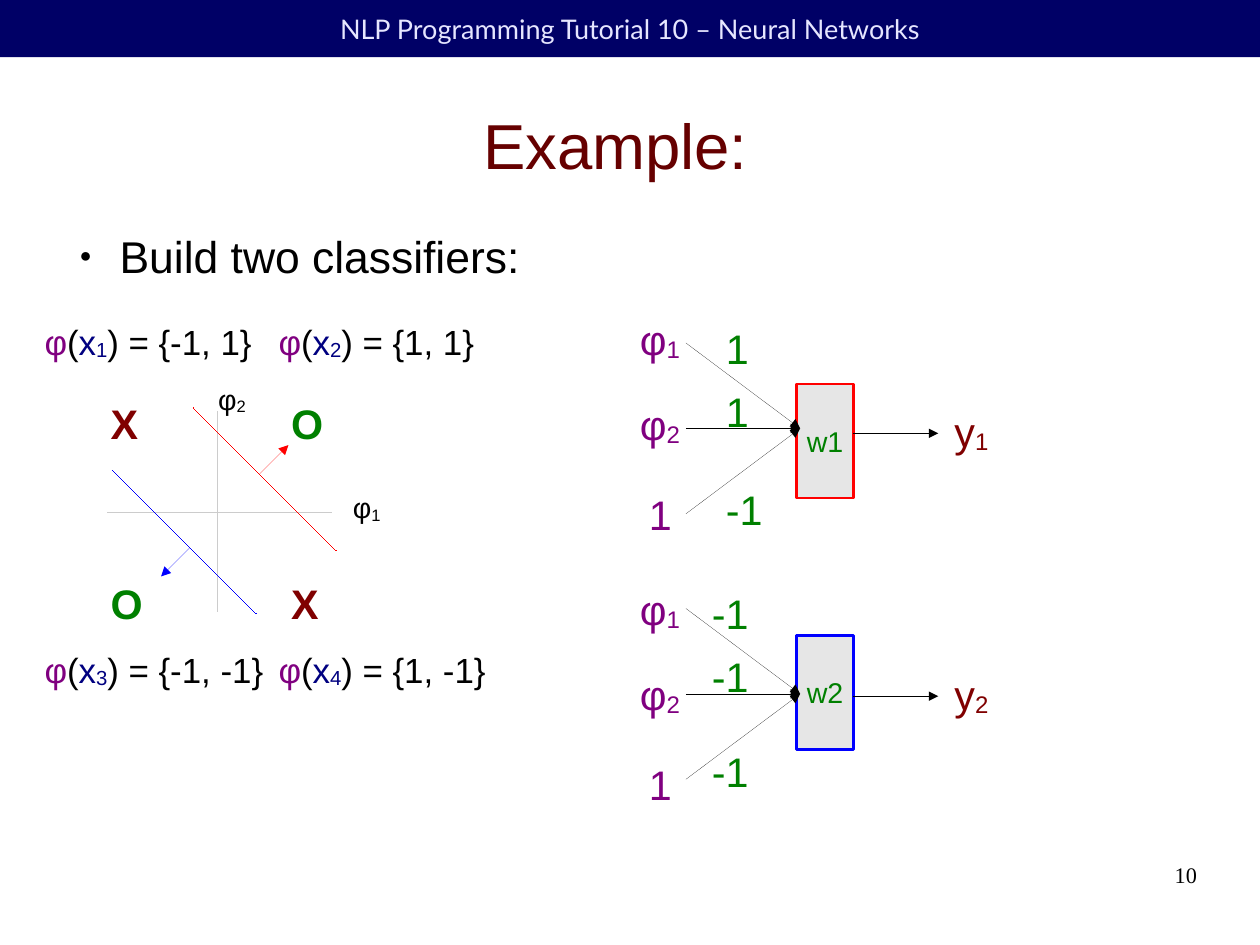
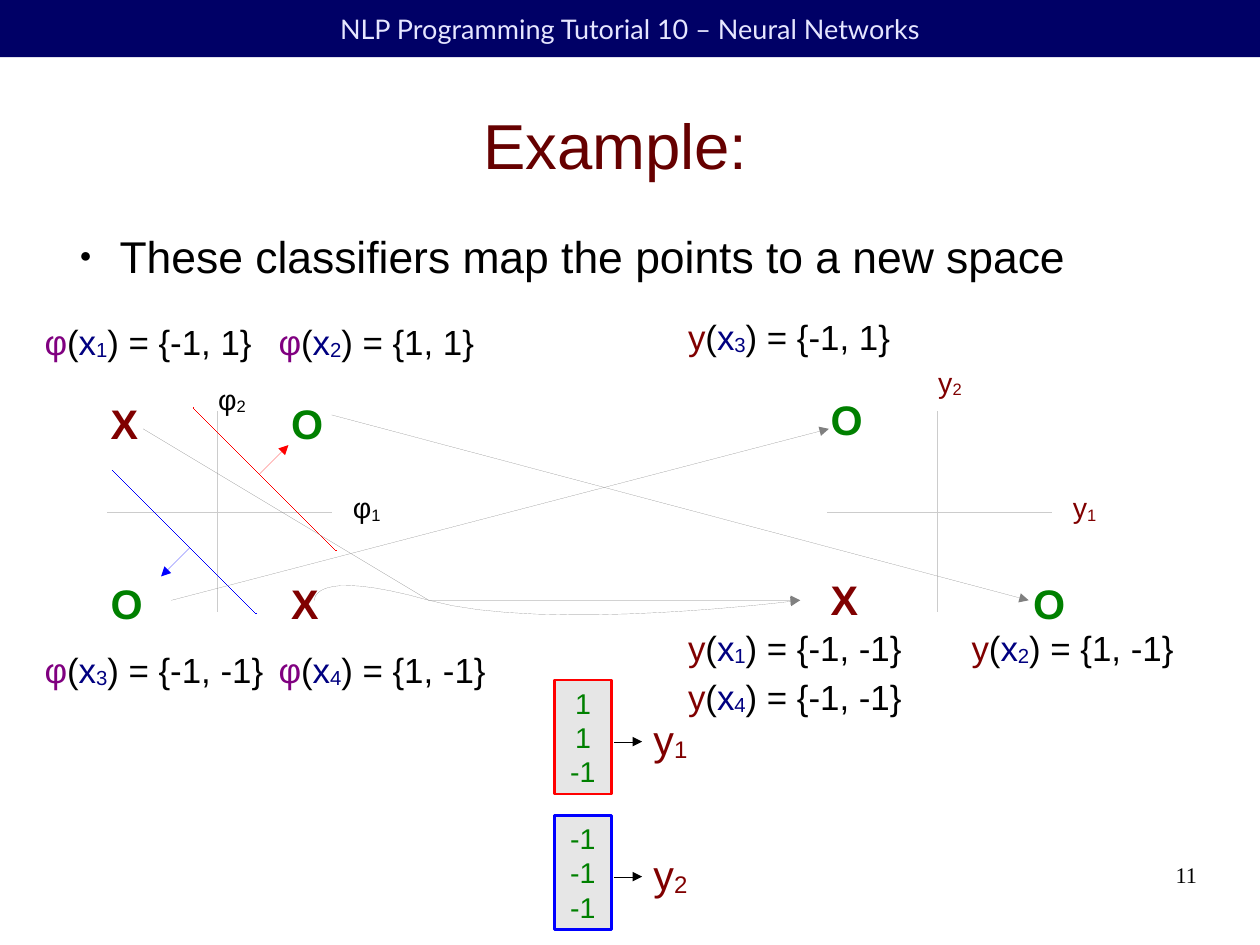
import pptx
import pptx.dml.color
import pptx.enum.shapes
import pptx.enum.text
import pptx.oxml.ns
import pptx.util
from lxml import etree

Cm = pptx.util.Cm
Pt = pptx.util.Pt
RGBColor = pptx.dml.color.RGBColor
ALIGN = pptx.enum.text.PP_ALIGN
ANCHOR = pptx.enum.text.MSO_ANCHOR
RECTANGLE = pptx.enum.shapes.MSO_SHAPE.RECTANGLE
STRAIGHT = pptx.enum.shapes.MSO_CONNECTOR.STRAIGHT
qn = pptx.oxml.ns.qn

BAND = RGBColor(0x00, 0x00, 0x66)
BAND_TEXT = RGBColor(0xE6, 0xE6, 0xFF)
TITLE = RGBColor(0x66, 0x00, 0x00)
BLACK = RGBColor(0x00, 0x00, 0x00)
MAROON = RGBColor(0x80, 0x00, 0x00)
GREEN = RGBColor(0x00, 0x80, 0x00)
PURPLE = RGBColor(0x80, 0x00, 0x80)
NAVY = RGBColor(0x00, 0x00, 0x80)
RED = RGBColor(0xFF, 0x00, 0x00)
BLUE = RGBColor(0x00, 0x00, 0xFF)
CELL = RGBColor(0xE6, 0xE6, 0xE6)
AXIS = RGBColor(0xCC, 0xCC, 0xCC)
MAPPING = RGBColor(0x80, 0x80, 0x80)

WIDTH, HEIGHT = 28, 21
PLOT_SHIFT = 16


def write(paragraph, runs, size, font="Arial", bold=False, align=ALIGN.LEFT):
    paragraph.alignment = align
    for text, color, subscript in runs:
        run = paragraph.add_run()
        run.text = text
        run.font.name = font
        run.font.size = Pt(size)
        run.font.bold = bold
        run.font.color.rgb = color
        if subscript:
            run._r.get_or_add_rPr().set("baseline", "-8000")


def plain(text, color):
    return [(text, color, False)]


def symbol(letter, index, color):
    return [(letter, color, False), (index, color, True)]


def frame(slide, left, top, width, height):
    box = slide.shapes.add_textbox(Cm(left), Cm(top), Cm(width), Cm(height))
    text_frame = box.text_frame
    text_frame.word_wrap = True
    text_frame.margin_left = text_frame.margin_right = 0
    text_frame.margin_top = text_frame.margin_bottom = 0
    return text_frame


def label(slide, runs, left, top, width, height, size, bold=False):
    box = slide.shapes.add_textbox(Cm(left), Cm(top), Cm(width), Cm(height))
    box.text_frame.word_wrap = False
    box.text_frame.auto_size = pptx.enum.text.MSO_AUTO_SIZE.SHAPE_TO_FIT_TEXT
    write(box.text_frame.paragraphs[0], runs, size, bold=bold)


def block(slide, left, top, width, height, fill, border=None):
    shape = slide.shapes.add_shape(RECTANGLE, Cm(left), Cm(top), Cm(width), Cm(height))
    shape.shadow.inherit = False
    shape.fill.solid()
    shape.fill.fore_color.rgb = fill
    if border is None:
        shape.line.fill.background()
    else:
        shape.line.color.rgb = border
        shape.line.width = Pt(1.45)
    shape.text_frame.vertical_anchor = ANCHOR.MIDDLE
    return shape.text_frame


def hairline(stroked, color, arrow):
    stroked.line.color.rgb = color
    outline = stroked.line._get_or_add_ln()
    outline.set("w", "0")
    if arrow:
        etree.SubElement(outline, qn("a:tailEnd"), type="triangle")
    element = stroked._element
    element.remove(element.find(qn("p:style")))


def line(holder, x1, y1, x2, y2, color, arrow=False):
    connector = holder.shapes.add_connector(STRAIGHT, Cm(x1), Cm(y1), Cm(x2), Cm(y2))
    hairline(connector, color, arrow)
    etree.SubElement(connector._element.spPr, qn("a:effectLst"))


def route(slide, points):
    start, *rest = [(Cm(x), Cm(y)) for x, y in points]
    builder = slide.shapes.build_freeform(*start)
    builder.add_line_segments(rest, close=False)
    shape = builder.convert_to_shape()
    shape.shadow.inherit = False
    shape.fill.background()
    hairline(shape, MAPPING, True)


def bezier(controls, steps=16):
    for step in range(steps + 1):
        t = step / steps
        weights = ((1 - t) ** 3, 3 * t * (1 - t) ** 2, 3 * t ** 2 * (1 - t), t ** 3)
        yield tuple(sum(w * p[axis] for w, p in zip(weights, controls)) for axis in (0, 1))


def base_slide(presentation, statement, number):
    slide = presentation.slides.add_slide(presentation.slide_layouts[6])
    band = block(slide, 0, 0, WIDTH, 1.27, BAND)
    write(band.paragraphs[0], plain("NLP Programming Tutorial 10 – Neural Networks", BAND_TEXT),
          17, font="Lato", align=ALIGN.CENTER)

    title = frame(slide, 1.27, 1.59, 25.2, 3.23)
    title.vertical_anchor = ANCHOR.MIDDLE
    write(title.paragraphs[0], plain("Example: ", TITLE), 40, align=ALIGN.CENTER)

    bullet = frame(slide, 1.47, 5.08, 25.2, 1.09).paragraphs[0]
    properties = bullet._p.get_or_add_pPr()
    properties.set("marL", str(Cm(1.19)))
    properties.set("indent", str(Cm(-0.89)))
    bullet_color = etree.SubElement(properties, qn("a:buClr"))
    etree.SubElement(bullet_color, qn("a:srgbClr"), val=str(BLACK))
    etree.SubElement(properties, qn("a:buSzPct"), val="45000")
    etree.SubElement(properties, qn("a:buFont"), typeface="Arial")
    etree.SubElement(properties, qn("a:buChar"), char="●")
    write(bullet, plain(statement, BLACK), 28)

    page = frame(slide, 20.07, 19.13, 6.53, 1.45)
    write(page.paragraphs[0], plain(number, BLACK), 14, font="Times New Roman", align=ALIGN.RIGHT)
    return slide


def mark(slide, sign, left, top):
    color, width = {"X": (MAROON, 1.12), "O": (GREEN, 1.22)}[sign]
    label(slide, plain(sign, color), left, top, width, 1.27, 26, bold=True)


def point(slide, function, index, values, left, top):
    color, width = {"φ": (PURPLE, 4.85), "y": (MAROON, 4.74)}[function]
    runs = (plain(function, color) + plain("(", BLACK) + symbol("x", index, NAVY)
            + plain(f") = {{{values}}}", BLACK))
    label(slide, runs, left, top, width + 0.26 * values.count("-"), 1.37, 22)


def axes(slide, letter, color, shift, vertical_label_top):
    line(slide, 4.83 + shift, 9.14, 4.83 + shift, 13.59, AXIS)
    line(slide, 2.39 + shift, 11.38, 7.37 + shift, 11.38, AXIS)
    for index, left, top in (("1", 7.59, 10.77), ("2", 4.6, vertical_label_top)):
        label(slide, symbol(letter, index, color), left + shift, top, 1.25, 1.17, 18)


def boundary(slide, color, x, y, sign):
    group = slide.shapes.add_group_shape()
    length, foot, reach = 3.18 * sign, 1.47 * sign, 0.64 * sign
    line(group, x, y, x + length, y + length, color)
    line(group, x + foot, y + foot, x + foot + reach, y + foot - reach, color, arrow=True)


def input_space(slide):
    for sign, left, top in (("X", 2.21, 8.72), ("O", 2.21, 12.73),
                            ("O", 6.22, 8.72), ("X", 6.22, 12.73)):
        mark(slide, sign, left, top)
    axes(slide, "φ", BLACK, 0, 8.36)
    for index, values, left, top in (("1", "-1, 1", 0.74, 6.99), ("2", "1, 1", 5.94, 6.99),
                                     ("3", "-1, -1", 0.74, 14.28), ("4", "1, -1", 5.94, 14.28)):
        point(slide, "φ", index, values, left, top)
    boundary(slide, RED, 4.3, 9.06, 1)
    boundary(slide, BLUE, 5.69, 13.64, -1)


def neuron(slide, lines, border, left, top, arrow, output_left, index):
    cell = block(slide, left, top, 1.27, 2.54, CELL, border)
    cell.word_wrap = False
    for position, text in enumerate(lines):
        paragraph = cell.add_paragraph() if position else cell.paragraphs[0]
        write(paragraph, plain(text, GREEN), 18, align=ALIGN.CENTER)
    start, end, y = arrow
    line(slide, start, y, end, y, BLACK, arrow=True)
    label(slide, symbol("y", index, MAROON), output_left, y - 0.73, 1.27, 1.57, 26)


def fan_in(slide, input_top, fan_top, weights, weight_left, weight_tops):
    inputs = ((symbol("φ", "1", PURPLE), 13.97, 0, 1.4, 1.57),
              (symbol("φ", "2", PURPLE), 13.97, 1.89, 1.4, 1.57),
              (plain("1", PURPLE), 14.17, 3.88, 1.02, 1.27))
    for row, (runs, left, drop, width, height) in enumerate(inputs):
        label(slide, runs, left, input_top + drop, width, height, 26)
        line(slide, 15.24, fan_top + 1.9 * row, 17.78, fan_top + 1.9, BLACK, arrow=True)
    for weight, top in zip(weights, weight_tops):
        width = 1.02 + 0.3 * weight.count("-")
        label(slide, plain(weight, GREEN), weight_left, top, width, 1.27, 26)


def classifiers_slide(presentation):
    slide = base_slide(presentation, "Build two classifiers:", "10")
    input_space(slide)
    neuron(slide, ["w1"], RED, 17.7, 8.53, (18.95, 20.85, 9.63), 20.96, "1")
    neuron(slide, ["w2"], BLUE, 17.7, 14.12, (18.95, 20.85, 15.47), 20.96, "2")
    fan_in(slide, 6.86, 7.62, ("1", "1", "-1"), 15.88, (7.06, 8.46, 10.64))
    fan_in(slide, 12.86, 13.52, ("-1", "-1", "-1"), 15.57, (12.95, 14.35, 16.46))


def mapping_slide(presentation):
    slide = base_slide(presentation, "These classifiers map the points to a new space", "11")
    input_space(slide)
    neuron(slide, ["1", "1", "-1"], RED, 12.32, 15.11, (13.64, 14.27, 16.48), 14.27, "1")
    neuron(slide, ["-1", "-1", "-1"], BLUE, 12.32, 18.12, (13.64, 14.27, 19.48), 14.27, "2")

    axes(slide, "y", MAROON, PLOT_SHIFT, 7.98)
    for sign, left, top in (("O", 18.21, 8.64), ("X", 18.21, 12.64), ("O", 22.71, 12.73)):
        mark(slide, sign, left, top)
    for index, values, left, top in (("3", "-1, 1", 15.04, 6.88), ("1", "-1, -1", 15.04, 13.79),
                                     ("4", "-1, -1", 15.04, 14.88), ("2", "1, -1", 21.34, 13.79)):
        point(slide, "y", index, values, left, top)

    line(slide, 7.37, 9.22, 22.86, 13.34, MAPPING, arrow=True)
    line(slide, 3.81, 13.34, 18.42, 9.53, MAPPING, arrow=True)
    start, bend, end = (6.99, 13.34), (9.53, 13.34), (17.78, 13.34)
    route(slide, [(3.18, 9.53), bend, end])
    rise = list(bezier((start, start, (6.91, 12.6), bend)))
    dip = list(bezier((bend, (12.14, 14.07), end, end)))
    route(slide, rise + dip[1:])


def main():
    presentation = pptx.Presentation()
    presentation.slide_width = Cm(WIDTH)
    presentation.slide_height = Cm(HEIGHT)
    classifiers_slide(presentation)
    mapping_slide(presentation)
    presentation.save("out.pptx")


if __name__ == "__main__":
    main()
